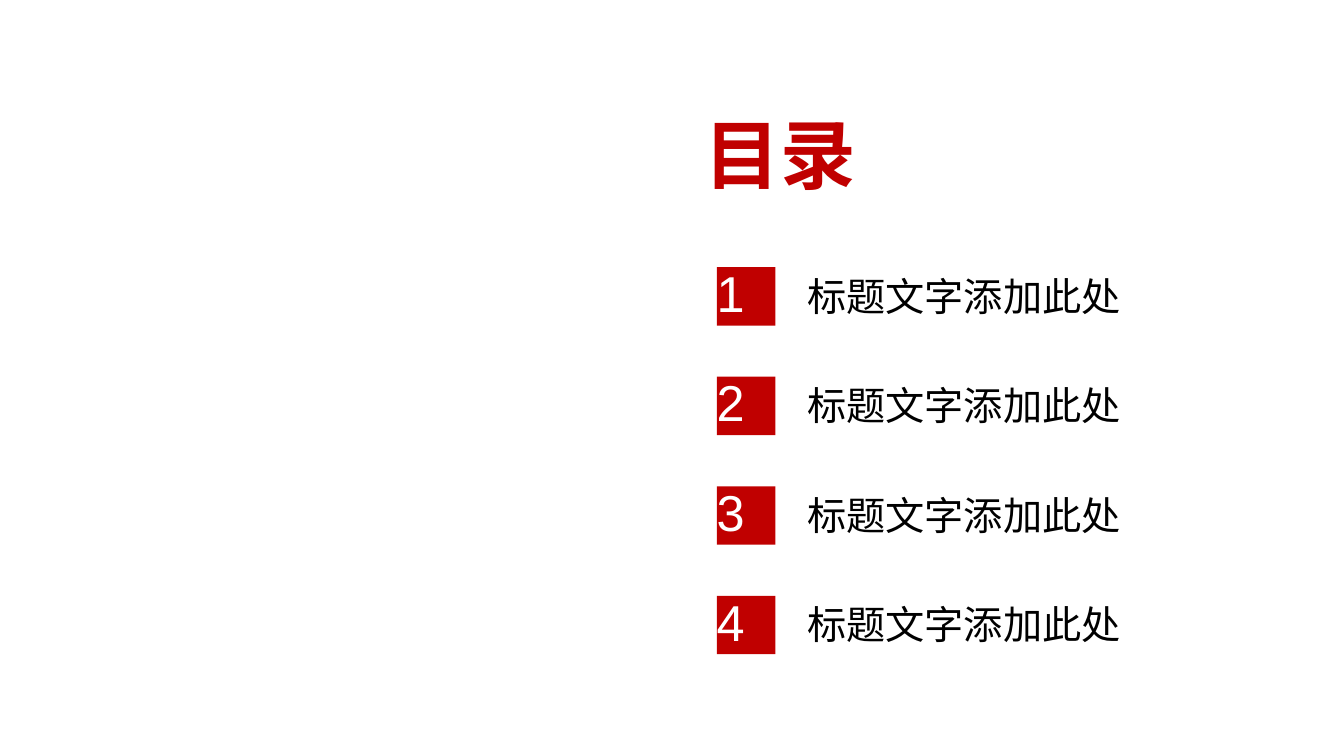
from pptx import Presentation
from pptx.dml.color import RGBColor
from pptx.enum.shapes import MSO_SHAPE
from pptx.enum.text import MSO_ANCHOR, MSO_AUTO_SIZE, PP_ALIGN
from pptx.util import Inches, Pt

# Content
TITLE = "目录"
ENTRIES = ["标题文字添加此处"] * 4

COLORS = {"red": "C00000", "white": "FFFFFF", "black": "000000"}
FORMATS = {
    "title": {"size": Pt(54), "bold": True, "color": "red", "align": PP_ALIGN.LEFT},
    "number": {"size": Pt(36), "bold": False, "color": "white", "align": PP_ALIGN.JUSTIFY},
    "entry": {"size": Pt(28), "bold": False, "color": "black", "align": PP_ALIGN.LEFT},
}

# Layout in inches: left, top, width, height of the first row
TITLE_BOX = (6.89, 1.02, 2, 1.01)
SQUARE = (7.11, 2.65, 0.58, 0.58)
NUMBER_BOX = (7.01, 2.55, 0.79, 0.71)
ENTRY_BOX = (7.91, 2.65, 5.34, 0.57)
ROW_STEP = 1.087


def color(name):
    return RGBColor.from_string(COLORS[name])


def box_in_row(box, row):
    left, top, width, height = box
    return [Inches(value) for value in (left, top + row * ROW_STEP, width, height)]


def write(shape, text, style):
    values = FORMATS[style]
    frame = shape.text_frame
    frame.text = text
    frame.word_wrap = True
    frame.auto_size = MSO_AUTO_SIZE.SHAPE_TO_FIT_TEXT
    frame.vertical_anchor = MSO_ANCHOR.TOP
    paragraph = frame.paragraphs[0]
    paragraph.alignment = values["align"]
    font = paragraph.runs[0].font
    font.name = "Arial"
    font.color.rgb = color(values["color"])
    for name in ("size", "bold"):
        setattr(font, name, values[name])


presentation = Presentation()
presentation.slide_width = Inches(13.33)
presentation.slide_height = Inches(7.5)
slide = presentation.slides.add_slide(presentation.slide_layouts[5])

# Title
title = slide.shapes.title
title.left, title.top, title.width, title.height = box_in_row(TITLE_BOX, 0)
write(title, TITLE, "title")

# Numbered entries, one group per row
for row, entry in enumerate(ENTRIES):
    group = slide.shapes.add_group_shape()
    square = group.shapes.add_shape(MSO_SHAPE.RECTANGLE, *box_in_row(SQUARE, row))
    square.shadow.inherit = False
    square.fill.solid()
    square.fill.fore_color.rgb = color("red")
    square.line.fill.background()
    for box, text, style in (
        (NUMBER_BOX, str(row + 1), "number"),
        (ENTRY_BOX, entry, "entry"),
    ):
        write(group.shapes.add_textbox(*box_in_row(box, row)), text, style)

presentation.save("out.pptx")
